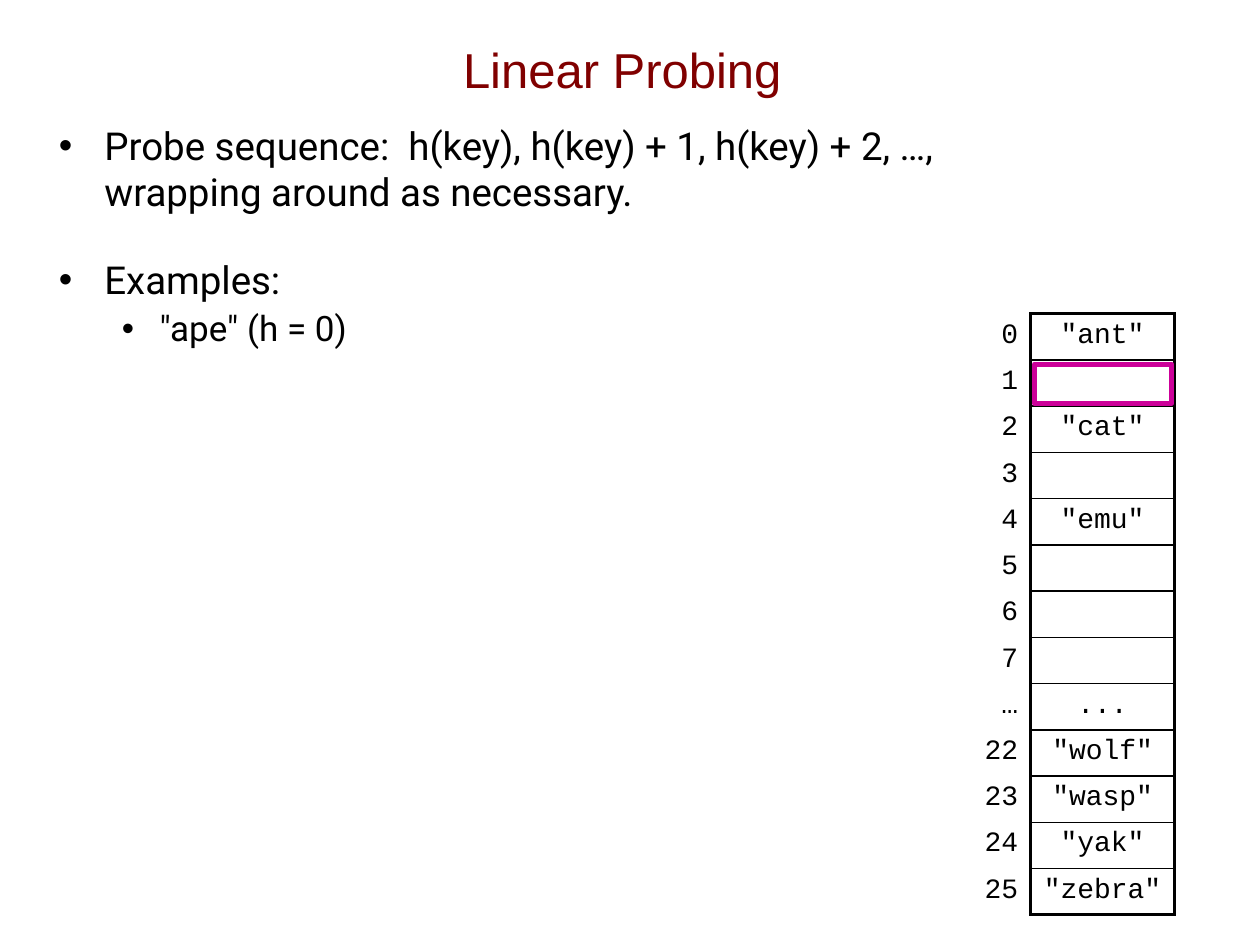
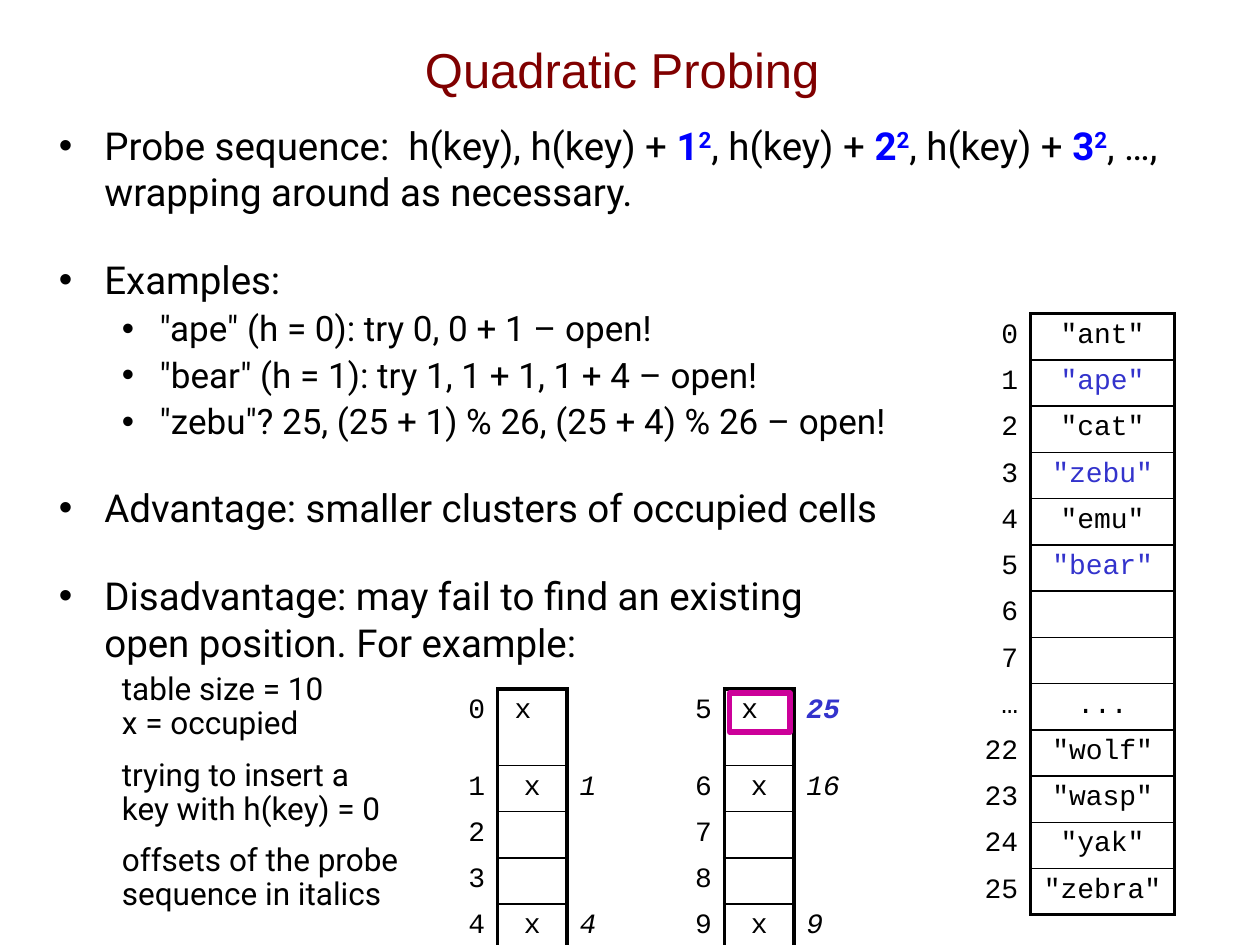
from dataclasses import dataclass
from typing import NamedTuple

from lxml.etree import SubElement
from pptx import Presentation
from pptx.dml.color import RGBColor
from pptx.enum.shapes import MSO_SHAPE as Shape
from pptx.enum.text import MSO_ANCHOR as Anchor, PP_ALIGN as Align
from pptx.oxml import parse_xml
from pptx.oxml.ns import nsdecls, qn
from pptx.util import Pt

BLACK = "000000"
MAROON = "800000"
BLUE = "0000FF"
INDIGO = "3333CC"
MAGENTA = "CC0099"
BODY_FONT = "Roboto"
CODE_FONT = "Courier New"
THICK, THIN = 2.25, 1
COLUMN_ALIGNMENTS = (Align.RIGHT, Align.CENTER, Align.LEFT)


class Span(NamedTuple):
    text: str
    highlighted: bool = False
    superscript: bool = False


class Box(NamedTuple):
    left: float
    top: float
    width: float
    height: float


@dataclass(frozen=True)
class Item:
    content: str | tuple[Span, ...]
    size: float = 22
    space_before: float = 24
    level: int = 0
    bullet: bool = True


@dataclass(frozen=True)
class Cell:
    text: str = ""
    color: str = BLACK
    bold: bool = False
    italic: bool = False
    right_inset: float = 7.2


@dataclass(frozen=True)
class Grid:
    left: float
    top: float
    column_widths: tuple[float, ...]
    row_heights: tuple[float, ...]
    rows: list[tuple[Cell, ...]]


def rgb(color: str) -> RGBColor:
    return RGBColor.from_string(color)


def style_font(font, name: str, size: float, color: str) -> None:
    font.name = name
    font.size = Pt(size)
    font.color.rgb = rgb(color)


def add_text_frame(slide, box: Box):
    frame = slide.shapes.add_textbox(*map(Pt, box)).text_frame
    frame.word_wrap = True
    return frame


def add_title(slide, text: str) -> None:
    frame = add_text_frame(slide, Box(46, 5.8, 619, 67))
    frame.vertical_anchor = Anchor.MIDDLE
    paragraph = frame.paragraphs[0]
    paragraph.text = text
    paragraph.alignment = Align.CENTER
    style_font(paragraph.font, "Arial", 28, MAROON)


def indent_paragraph(paragraph, item: Item) -> None:
    margin, indent = ((26, -26), (57.6, -21.6))[item.level]
    properties = paragraph._p.get_or_add_pPr()
    properties.set("marL", str(Pt(margin)))
    properties.set("indent", str(Pt(indent)))
    if item.bullet:
        color = SubElement(properties, qn("a:buClr"))
        SubElement(color, qn("a:srgbClr"), val=BLACK)
        SubElement(properties, qn("a:buFont"), typeface="Arial")
        SubElement(properties, qn("a:buChar"), char="•")
    else:
        SubElement(properties, qn("a:buNone"))


def add_span(paragraph, span: Span) -> None:
    for number, line in enumerate(span.text.split("\n")):
        if number:
            paragraph.add_line_break()
        run = paragraph.add_run()
        run.text = line
        if span.highlighted:
            run.font.bold = True
            run.font.color.rgb = rgb(BLUE)
        if span.superscript:
            run.font._element.set("baseline", "30000")


def add_body(slide, width: float, items: list[Item]) -> None:
    frame = add_text_frame(slide, Box(26.6, 66.2, width, 442))
    for number, item in enumerate(items):
        paragraph = frame.add_paragraph() if number else frame.paragraphs[0]
        paragraph.level = item.level
        indent_paragraph(paragraph, item)
        paragraph.space_before = Pt(item.space_before if number else 0)
        if item.level:
            paragraph.line_spacing = 0.9
        content = item.content
        for span in (Span(content),) if isinstance(content, str) else content:
            add_span(paragraph, span)
        style_font(paragraph.font, BODY_FONT, item.size, BLACK)


def set_borders(cell, widths: dict[str, float]) -> None:
    properties = cell._tc.get_or_add_tcPr()
    for position, (side, width) in enumerate(widths.items()):
        line = parse_xml(
            f'<a:ln{side} {nsdecls("a")} w="{Pt(width)}"><a:solidFill>'
            f'<a:srgbClr val="{BLACK}"/></a:solidFill></a:ln{side}>'
        )
        properties.insert(position, line)


def fill_cell(cell, content: Cell, alignment: Align) -> None:
    cell.fill.background()
    cell.margin_right = Pt(content.right_inset)
    if not content.text:
        cell.margin_top = cell.margin_bottom = 0
    paragraph = cell.text_frame.paragraphs[0]
    paragraph.text = content.text
    paragraph.alignment = alignment
    style_font(paragraph.font, CODE_FONT, 16, content.color)
    paragraph.font.bold = content.bold
    paragraph.font.italic = content.italic


def add_grid(slide, grid: Grid) -> None:
    row_count = len(grid.rows)
    box = Box(grid.left, grid.top, sum(grid.column_widths), sum(grid.row_heights))
    frame = slide.shapes.add_table(row_count, len(grid.column_widths), *map(Pt, box))
    table = frame.table
    table.first_row = table.horz_banding = False
    style = table._tbl.tblPr.find(qn("a:tableStyleId"))
    style.text = "{2D5ABB26-0587-4C30-8999-92F81FD0307C}"
    for column, width in zip(table.columns, grid.column_widths):
        column.width = Pt(width)
    for number, contents in enumerate(grid.rows):
        table.rows[number].height = Pt(grid.row_heights[number])
        for column, content in enumerate(contents):
            fill_cell(table.cell(number, column), content, COLUMN_ALIGNMENTS[column])
        set_borders(table.cell(number, 1), {
            "L": THICK,
            "R": THICK,
            "T": THIN if number else THICK,
            "B": THIN if number < row_count - 1 else THICK,
        })


def add_hash_table(slide, inserted: dict[str, str]) -> None:
    words = {
        "0": "ant", "2": "cat", "4": "emu", "22": "wolf",
        "23": "wasp", "24": "yak", "25": "zebra",
    }
    rows = []
    for index in [*map(str, range(8)), "…", *map(str, range(22, 26))]:
        if index == "…":
            value = Cell("...")
        elif index in inserted:
            value = Cell(f'"{inserted[index]}"', INDIGO)
        else:
            value = Cell(f'"{words[index]}"' if index in words else "")
        rows.append((Cell(index), value))
    add_grid(slide, Grid(506.2, 179.3, (82.8, 82.1), (26.4,) * len(rows), rows))


def add_probe_table(slide, left: float, first_index: int, offsets: dict[int, Cell]) -> None:
    rows = []
    for index in range(first_index, first_index + 5):
        is_first = index == first_index
        occupied = Cell("x", right_inset=18 if is_first else 7.2)
        value = occupied if is_first or index in offsets else Cell()
        rows.append((Cell(str(index)), value, offsets.get(index, Cell())))
    heights = (43.6,) + (25.4,) * 4
    add_grid(slide, Grid(left, 393.8, (105.8, 39.6, 66.2), heights, rows))


def add_highlight(slide, box: Box) -> None:
    shape = slide.shapes.add_shape(Shape.RECTANGLE, *map(Pt, box))
    shape.shadow.inherit = False
    shape.fill.background()
    shape.line.color.rgb = rgb(MAGENTA)
    shape.line.width = Pt(3)


def build_linear_slide(slide) -> None:
    add_title(slide, "Linear Probing")
    add_body(slide, 666, [
        Item("Probe sequence:  h(key), h(key) + 1, h(key) + 2, …, \nwrapping around as necessary."),
        Item("Examples:"),
        Item('"ape" (h = 0)', 20, 5, 1),
    ])
    add_hash_table(slide, {})
    add_highlight(slide, Box(591.1, 208.1, 78.5, 22.3))


def build_quadratic_slide(slide) -> None:
    add_title(slide, "Quadratic Probing")
    add_probe_table(slide, 178.6, 0, {
        1: Cell("1", italic=True),
        4: Cell("4", italic=True),
    })
    add_probe_table(slide, 308.2, 5, {
        5: Cell("25", INDIGO, bold=True, italic=True),
        6: Cell("16", italic=True),
        9: Cell("9", italic=True),
    })
    add_highlight(slide, Box(416.9, 396, 34.6, 22.3))
    add_hash_table(slide, {"1": "ape", "3": "zebu", "5": "bear"})

    sequence = [Span("Probe sequence:  h(key), h(key) + ")]
    for base in "123":
        if base != "1":
            sequence.append(Span(", h(key) + "))
        sequence += [Span(base, True), Span("2", True, True)]
    sequence.append(Span(", …,\nwrapping around as necessary."))
    examples = (
        '"ape" (h = 0): try 0, 0 + 1 – open!',
        '"bear" (h = 1): try 1, 1 + 1, 1 + 4 – open!',
        '"zebu"? 25, (25 + 1) % 26, (25 + 4) % 26 – open!',
    )
    notes = (
        ("table size = 10", 5), ("x = occupied", 0),
        ("trying to insert a", 10), ("key with h(key) = 0", 0),
        ("offsets of the probe", 10), ("sequence in italics", 0),
    )
    add_body(slide, 685.4, [
        Item(tuple(sequence)),
        Item("Examples:"),
        *(Item(example, 20, 5, 1) for example in examples),
        Item("Advantage: smaller clusters of occupied cells"),
        Item("Disadvantage: may fail to find an existing \nopen position. For example:"),
        *(Item(note, 18, space, 1, bullet=False) for note, space in notes),
    ])


def main() -> None:
    presentation = Presentation()
    presentation.slide_width = Pt(720)
    presentation.slide_height = Pt(540)
    for build_slide in (build_linear_slide, build_quadratic_slide):
        build_slide(presentation.slides.add_slide(presentation.slide_layouts[6]))
    presentation.save("out.pptx")


if __name__ == "__main__":
    main()
